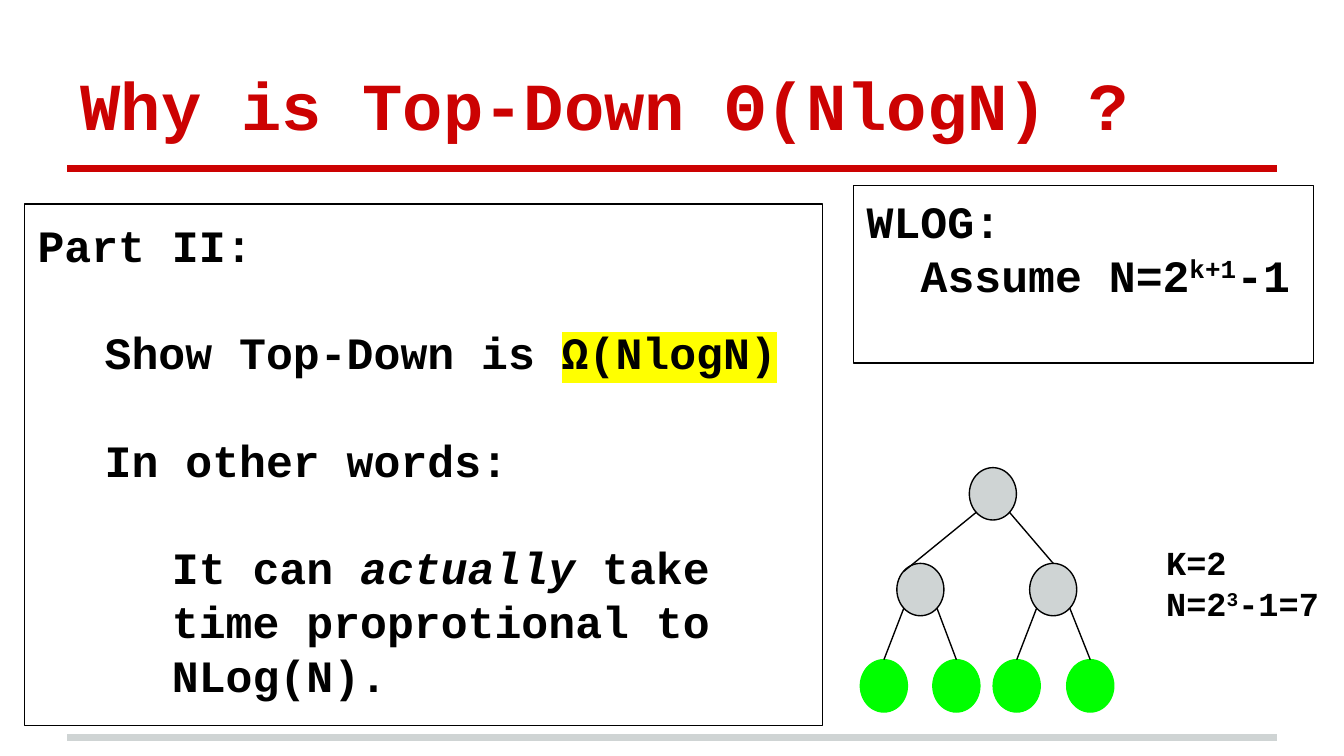
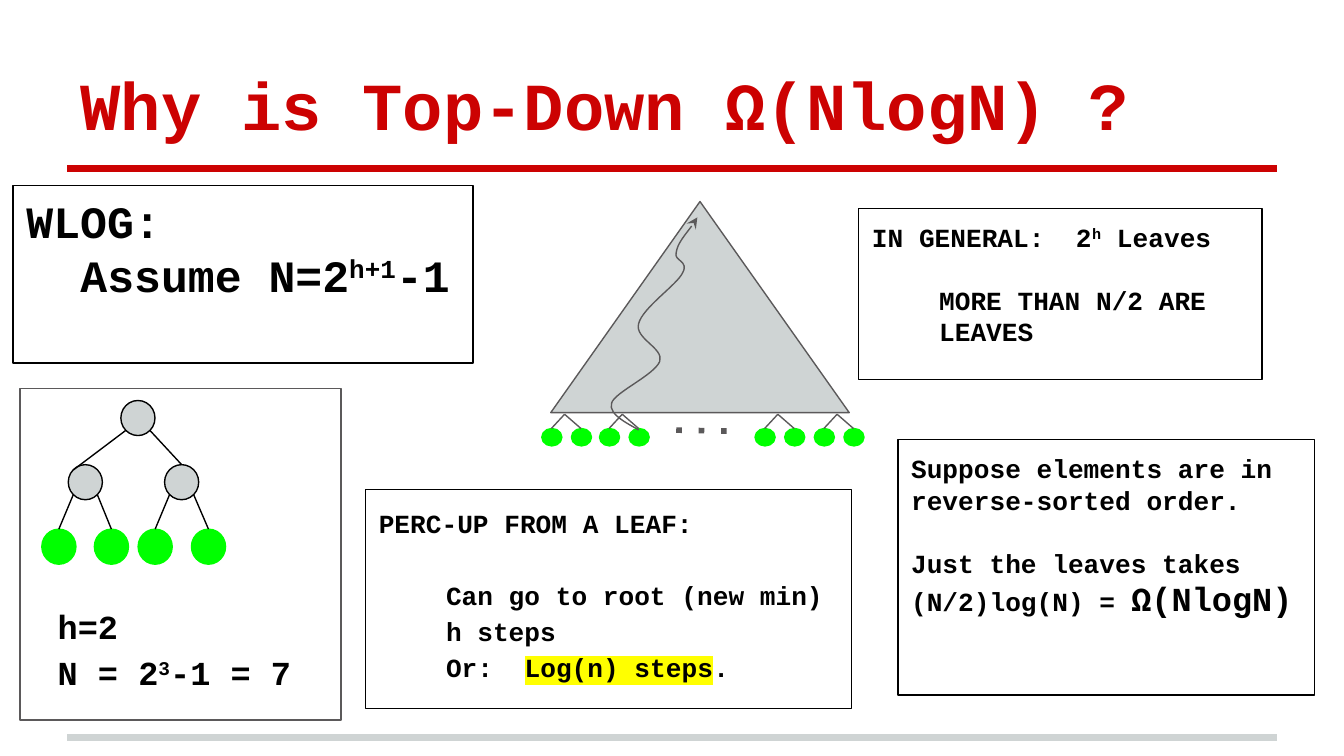
from dataclasses import dataclass, field
from itertools import product

from lxml.etree import SubElement
from pptx import Presentation
from pptx.dml.color import RGBColor
from pptx.enum.shapes import MSO_CONNECTOR, MSO_SHAPE
from pptx.enum.text import MSO_ANCHOR, PP_ALIGN
from pptx.oxml.ns import qn
from pptx.util import Cm, Pt

RED, BLACK, GRAY = "CC0202", "000000", "5B595A"
PALE, GREEN, YELLOW = "CFD4D4", "00FF00", "FFFF00"
FORMAT = {"name": "Courier New", "bold": True}


@dataclass
class Run:
    text: str
    format: dict = field(default_factory=dict)
    color: str = ""
    mark: str = ""
    sup: bool = False


@dataclass
class Para:
    runs: list[Run]
    indent: float = 0
    before: float = 0
    spacing: float = 1


@dataclass
class Box:
    left: float
    top: float
    width: float
    height: float
    size: float
    paras: list[Para]
    color: str = BLACK
    line: str = BLACK
    anchor: MSO_ANCHOR = MSO_ANCHOR.TOP
    inset: float = 0.25


@dataclass
class Node:
    x: float
    y: float
    fill: str = PALE
    line: str = BLACK


def rgb(color: str) -> RGBColor:
    return RGBColor.from_string(color)


def para(text: str, indent: float = 0, before: float = 0, spacing: float = 1) -> Para:
    return Para([Run(text)], indent, before, spacing)


def power(base: str, high: str, rest: str, indent: float = 0, spacing: float = 1) -> Para:
    """Paragraph with a raised exponent."""
    return Para([Run(base), Run(high, sup=True), Run(rest)], indent, 0, spacing)


def add_mark(shape, tag: str, **attrs: str) -> None:
    """Append a dash or arrowhead to the outline."""
    SubElement(shape._element.spPr.find(qn("a:ln")), qn(tag), **attrs)


def draw_line(slide, start: tuple, end: tuple, color: str = BLACK, width: float = 0.75):
    ends = [Cm(value) for value in (*start, *end)]
    link = slide.shapes.add_connector(MSO_CONNECTOR.STRAIGHT, *ends)
    link.line.color.rgb = rgb(color)
    link.line.width = Pt(width)
    SubElement(link._element.spPr, qn("a:effectLst"))
    return link


def paint(shape, fill: str, line: str) -> None:
    shape.shadow.inherit = False
    if fill:
        shape.fill.solid()
        shape.fill.fore_color.rgb = rgb(fill)
    else:
        shape.fill.background()
    if line:
        shape.line.color.rgb = rgb(line)
        shape.line.width = Pt(0.75)
    else:
        shape.line.fill.background()


def draw_shape(slide, kind: MSO_SHAPE, place: tuple, fill: str, line: str):
    shape = slide.shapes.add_shape(kind, *map(Cm, place))
    paint(shape, fill, line)
    return shape


def write_run(target, run: Run, box: Box) -> None:
    piece = target.add_run()
    piece.text = run.text
    font = piece.font
    font.color.rgb = rgb(run.color or box.color)
    for key, value in {**FORMAT, "size": Pt(box.size), **run.format}.items():
        setattr(font, key, value)
    props = piece._r.get_or_add_rPr()
    if run.sup:
        props.set("baseline", "30000")
    if run.mark:
        light = SubElement(props, qn("a:highlight"))
        SubElement(light, qn("a:srgbClr"), val=run.mark)
        props.find(qn("a:solidFill")).addnext(light)


def draw_box(slide, box: Box) -> None:
    place = (box.left, box.top, box.width, box.height)
    if box.line:
        shape = draw_shape(slide, MSO_SHAPE.RECTANGLE, place, "", box.line)
    else:
        shape = slide.shapes.add_textbox(*map(Cm, place))
    frame = shape.text_frame
    margin = Cm(0.25)
    layout = {
        "word_wrap": True,
        "vertical_anchor": box.anchor,
        "margin_left": margin,
        "margin_right": margin,
        "margin_top": Cm(box.inset),
        "margin_bottom": Cm(box.inset),
    }
    for key, value in layout.items():
        setattr(frame, key, value)
    for index, item in enumerate(box.paras):
        target = frame.add_paragraph() if index else frame.paragraphs[0]
        target.alignment = PP_ALIGN.LEFT
        target.line_spacing = item.spacing
        if item.before:
            target.space_before = Pt(item.before)
        if item.indent:
            props = target._p.get_or_add_pPr()
            props.set("marL", str(Cm(item.indent)))
            props.set("indent", "0")
        for run in item.runs:
            write_run(target, run, box)


def draw_tree(slide, left: float, top: float, wide: float = 1, high: float = 1) -> None:
    """Seven-node tree; wide and high scale it."""
    spots = [Node(2.06, 0), Node(0.69, 1.81), Node(3.2, 1.81)]
    spots += [Node(x, 3.63, GREEN, GREEN) for x in (0, 1.37, 2.51, 3.9)]
    width, height = 0.89, 0.99

    def point(node: Node, across: float, down: float) -> tuple:
        return (left + (node.x + width * across) * wide,
                top + (node.y + height * down) * high)

    for node in spots:
        place = (*point(node, 0, 0), width * wide, height * high)
        draw_shape(slide, MSO_SHAPE.OVAL, place, node.fill, node.line)
    for parent, side in product(range(3), range(2)):
        child = 2 * parent + 1 + side
        start = point(spots[parent], 0.85 if side else 0.15, 0.85)
        end = point(spots[child], *((0.15, 0.15) if child == 1 else (0.5, 0)))
        draw_line(slide, start, end)


def draw_heap(slide) -> None:
    """Large heap with its leaves and the way up from one leaf."""
    draw_shape(slide, MSO_SHAPE.ISOSCELES_TRIANGLE, (10.41, 3.81, 5.64, 3.99), PALE, GRAY)
    base, peak = 8.1, 7.83
    for left in (10.24, 11.33, 14.27, 15.39):
        for step in (0, 0.56):
            draw_shape(slide, MSO_SHAPE.OVAL, (left + step, base, 0.38, 0.33), GREEN, GREEN)
        for foot in (0.18, 0.74):
            draw_line(slide, (left + foot, base), (left + 0.43, peak), GRAY)
    dots = draw_line(slide, (12.78, 8.13), (13.84, 8.15), GRAY, 3)
    add_mark(dots, "a:prstDash", val="dot")


def draw_curve(slide, points: list[tuple]) -> None:
    """Arrow along cubic curves, three points to each."""
    start, *rest = [(Cm(x), Cm(y)) for x, y in points]
    builder = slide.shapes.build_freeform(*start)
    builder.add_line_segments(rest, close=False)
    shape = builder.convert_to_shape()
    paint(shape, "", GRAY)
    add_mark(shape, "a:tailEnd", type="stealth")
    route = next(shape._element.iter(qn("a:path")))
    steps = route.findall(qn("a:lnTo"))
    for index in range(0, len(steps), 3):
        curve = SubElement(route, qn("a:cubicBezTo"))
        for step in steps[index:index + 3]:
            curve.append(step[0])
            route.remove(step)


def start_slide(deck, title: list[Run]):
    slide = deck.slides.add_slide(deck.slide_layouts[6])
    for y, color in ((13.94, PALE), (3.18, RED)):
        draw_line(slide, (1.27, y), (24.13, y), color, 4)
    draw_box(slide, Box(1.27, 0.58, 22.86, 2.39, 36, [Para(title)], RED, "",
                        MSO_ANCHOR.BOTTOM))
    return slide


def draw_wlog(slide, left: float, high: str) -> None:
    paras = [para("WLOG:"), power("Assume N=2", high, "-1", 1.02)]
    draw_box(slide, Box(left, 3.51, 8.69, 3.35, 24, paras, inset=0.15))


def build_claim(deck) -> None:
    slide = start_slide(deck, [Run("Why is Top-Down Θ(NlogN) ?")])
    draw_wlog(slide, 16.13, "k+1")
    draw_tree(slide, 16.26, 8.84)
    draw_box(slide, Box(21.79, 9.91, 3.56, 2.21, 18,
                        [para("K=2"), power("N=2", "3", "-1=7")],
                        line="", anchor=MSO_ANCHOR.MIDDLE))
    gap = 28.8
    draw_box(slide, Box(0.46, 3.86, 15.09, 9.86, 24, [
        para("Part II:"),
        Para([Run("Show Top-Down is "), Run("Ω(NlogN)", mark=YELLOW)], 1.27, gap),
        para("In other words:", 1.27, gap),
        Para([Run("It can "), Run("actually", {"italic": True}),
              Run(" take time proprotional to NLog(N).")], 2.54, gap),
    ]))


def build_proof(deck) -> None:
    slide = start_slide(deck, [Run("Why is Top-Down "), Run("Ω", color="CC0000"),
                               Run("(NlogN) ?")])
    draw_wlog(slide, 0.25, "h+1")
    draw_tree(slide, 0.79, 7.57, 0.725, 0.67)
    draw_heap(slide)
    draw_shape(slide, MSO_SHAPE.RECTANGLE, (0.38, 7.34, 6.07, 6.27), "", GRAY)
    loose, gap = 1.15, 16.8
    leaves = power("IN GENERAL:  2", "h", " Leaves")
    boxes = [
        Box(0.84, 11.02, 5.31, 2.39, 18,
            [para("h=2", spacing=loose), power("N = 2", "3", "-1 = 7", spacing=loose)],
            line="", anchor=MSO_ANCHOR.MIDDLE),
        Box(16.23, 3.94, 7.62, 3.23, 14,
            [leaves, para("MORE THAN N/2 ARE LEAVES", 1.27, gap)]),
        Box(6.91, 9.25, 9.19, 4.14, 14, [
            para("PERC-UP FROM A LEAF:", spacing=loose),
            para("Can go to root (new min)", 1.27, gap * loose, loose),
            para("h steps", 1.27, spacing=loose),
            Para([Run("Or:  "), Run("Log(n) steps", mark=YELLOW), Run(".")],
                 1.27, spacing=loose),
        ]),
        Box(16.97, 8.31, 7.87, 4.83, 14, [
            para("Suppose elements are in reverse-sorted order."),
            para("Just the leaves takes", before=gap),
            Para([Run("(N/2)log(N) = "), Run("Ω(NlogN)", {"size": Pt(18)})]),
        ]),
    ]
    for box in boxes:
        draw_box(slide, box)
    draw_curve(slide, [
        (12.07, 8.13),
        (11.96, 8.05), (11.48, 7.85), (11.56, 7.62),
        (11.61, 7.42), (12.37, 7.09), (12.47, 6.83),
        (12.55, 6.58), (11.99, 6.4), (12.07, 6.12),
        (12.14, 5.82), (12.8, 5.38), (12.9, 5.16),
        (13.03, 4.93), (12.73, 4.93), (12.78, 4.78),
        (12.8, 4.6), (13.13, 4.22), (13.18, 4.11),
    ])


def main() -> None:
    deck = Presentation()
    deck.slide_width, deck.slide_height = Cm(25.4), Cm(14.29)
    build_claim(deck)
    build_proof(deck)
    deck.save("out.pptx")


if __name__ == "__main__":
    main()
